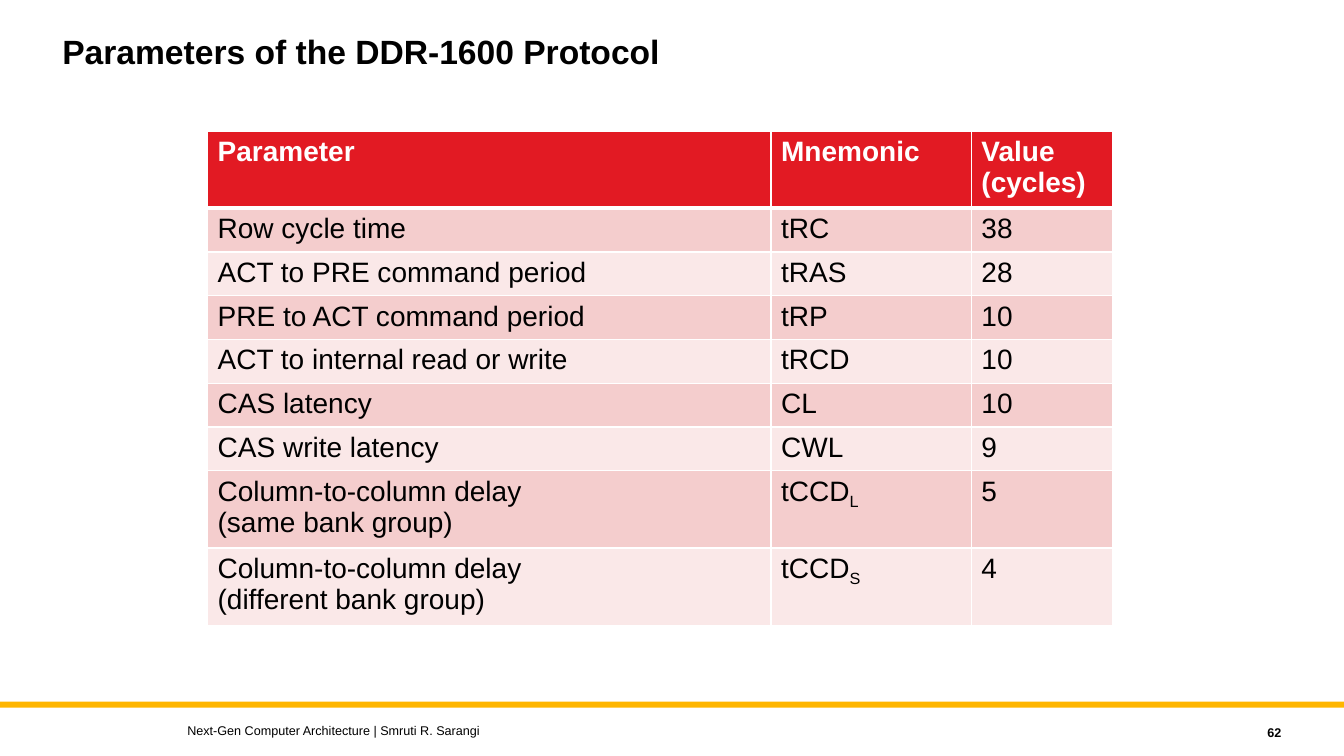
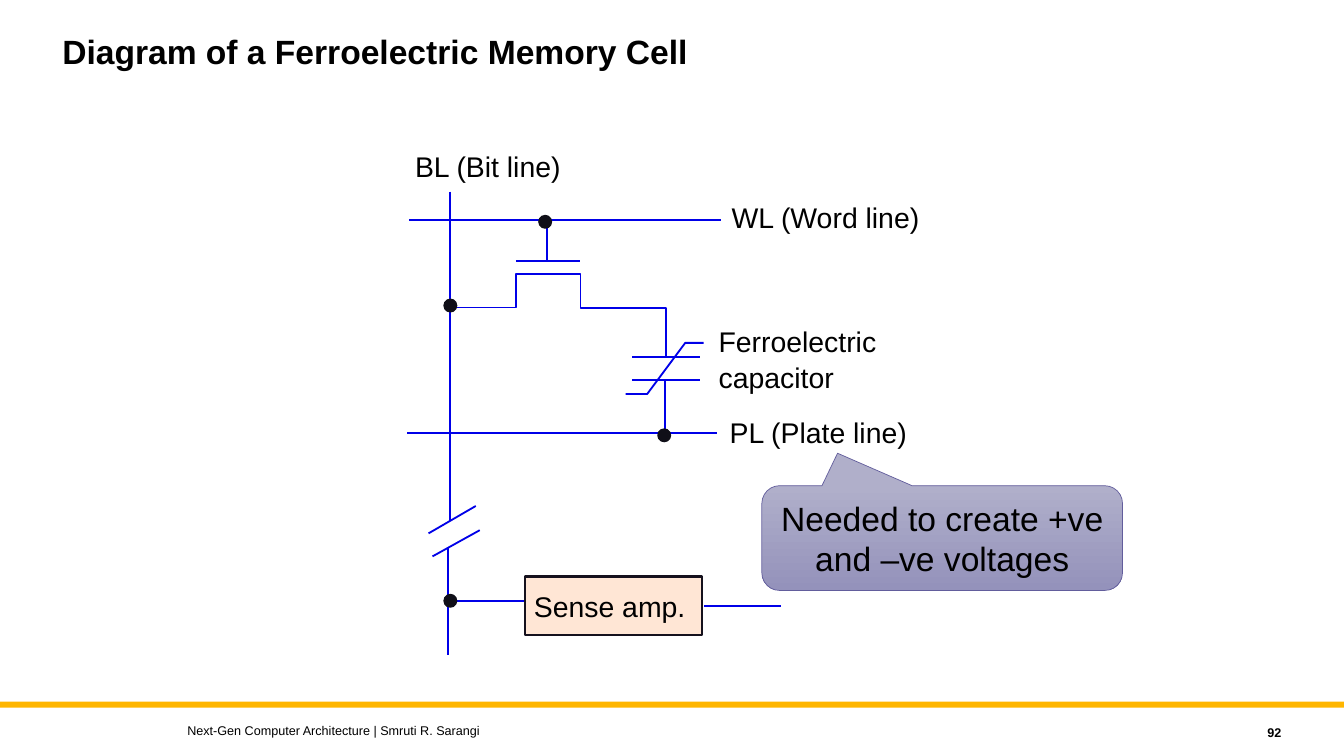
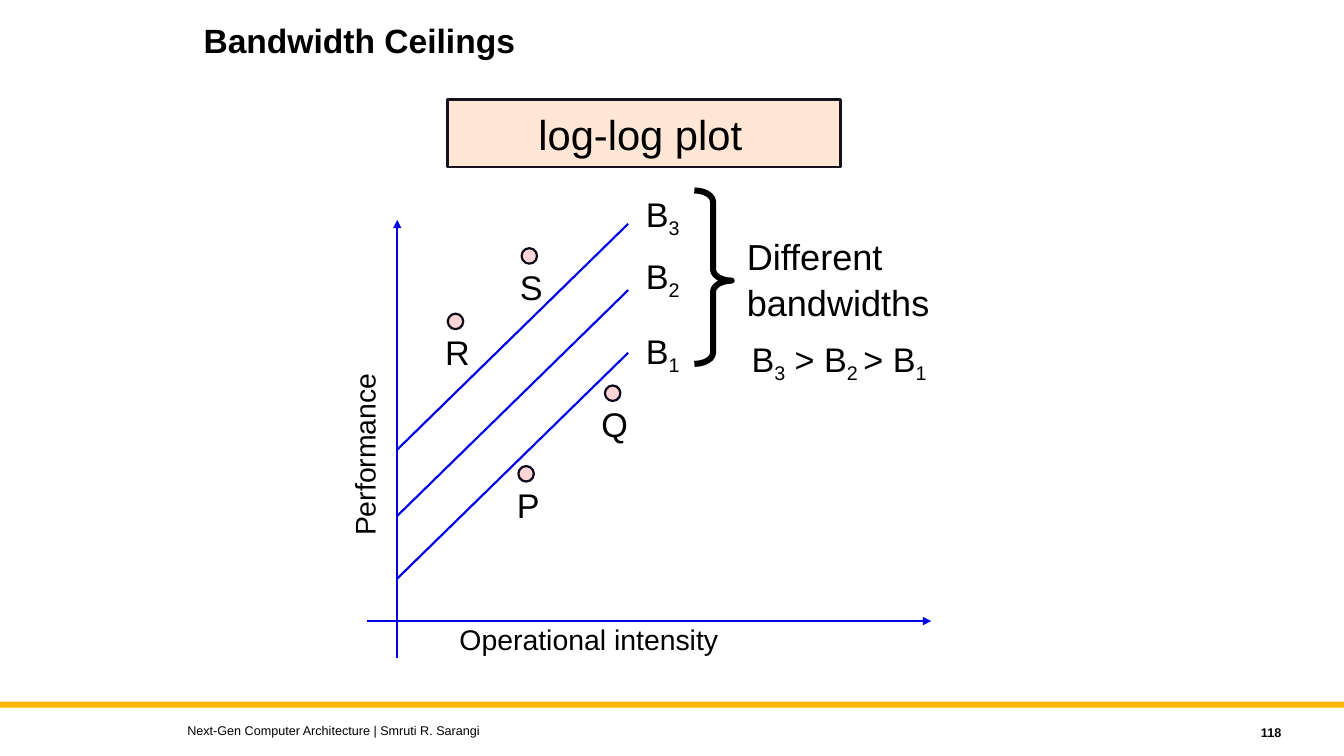
"""Build three computer architecture slides: a DDR table, a memory cell and bandwidth ceilings."""

from dataclasses import dataclass
from typing import NamedTuple, Sequence

from lxml.etree import SubElement
from pptx import Presentation
from pptx.dml.color import RGBColor
from pptx.enum.shapes import MSO_CONNECTOR, MSO_SHAPE
from pptx.enum.text import MSO_ANCHOR, PP_ALIGN
from pptx.oxml.ns import qn
from pptx.shapes.autoshape import Shape
from pptx.slide import Slide
from pptx.table import _Cell
from pptx.text.text import TextFrame
from pptx.util import Cm, Pt


@dataclass(frozen=True)
class Theme:
    """Colours, font and type sizes of the deck."""

    font: str = "Arial"
    ink: str = "000000"
    paper: str = "FFFFFF"
    band: str = "FFB600"
    wire: str = "0000E8"
    node: str = "100F18"
    box: str = "FFE6D5"
    box_edge: str = "15111D"
    marker: str = "FFD5D5"
    marker_edge: str = "09091A"
    header: str = "E21A23"
    stripes: tuple[str, str] = ("F4CDCD", "FAE8E8")
    callout: tuple[str, str] = ("B0AFCA", "9492BB")
    callout_edge: str = "625D9C"
    title_size: float = 24
    footer_size: float = 9
    table_size: float = 20
    label_size: float = 20.3
    symbol_size: float = 24.4
    note_size: float = 25.8
    plot_size: float = 29.8
    wire_width: float = 1.29
    ceiling_width: float = 1.53


THEME = Theme()
WIDTH, HEIGHT = 33.87, 19.05
Pieces = tuple[str, ...]
Point = tuple[float, float]


class Area(NamedTuple):
    """A rectangle in centimetres."""

    left: float
    top: float
    width: float
    height: float


class Label(NamedTuple):
    """Text at a place; every second piece is a subscript."""

    pieces: Pieces
    area: Area
    size: float = THEME.label_size
    rotation: float = 0


class Wire(NamedTuple):
    """A straight line, with an optional arrowhead at its end."""

    start: Point
    end: Point
    width: float = THEME.wire_width
    arrow: bool = False


class Sample(NamedTuple):
    """A named point of the plot."""

    name: str
    centre: Point


class Parameter(NamedTuple):
    """A timing parameter of the memory protocol."""

    name: str
    mnemonic: str
    cycles: str
    subscript: str = ""


PARAMETERS = (
    Parameter("Row cycle time", "tRC", "38"),
    Parameter("ACT to PRE command period", "tRAS", "28"),
    Parameter("PRE to ACT command period", "tRP", "10"),
    Parameter("ACT to internal read or write", "tRCD", "10"),
    Parameter("CAS latency", "CL", "10"),
    Parameter("CAS write latency", "CWL", "9"),
    Parameter("Column-to-column delay\n(same bank group)", "tCCD", "5", "L"),
    Parameter("Column-to-column delay\n(different bank group)", "tCCD", "4", "S"),
)

CELL_WIRES = (
    Wire((10.31, 5.54), (18.16, 5.54)),
    Wire((11.35, 4.83), (11.35, 13.13)),
    Wire((10.26, 10.92), (18.08, 10.92)),
    Wire((15.93, 8.99), (17.63, 8.99)),
    Wire((15.93, 9.58), (17.63, 9.58)),
    Wire((16.76, 9.58), (16.76, 10.95)),
    Wire((13, 6.58), (14.61, 6.58)),
    Wire((13.79, 6.58), (13.79, 5.54)),
    Wire((10.8, 13.44), (11.99, 12.75)),
    Wire((10.9, 14.02), (12.09, 13.36)),
    Wire((11.3, 13.79), (11.3, 16.51)),
    Wire((11.3, 15.14), (13.23, 15.14)),
    Wire((17.75, 15.27), (19.69, 15.27)),
)
TRANSISTOR = ((11.38, 7.75), (13, 7.75), (13, 6.91), (14.63, 6.91),
              (14.63, 7.77), (16.79, 7.77), (16.79, 9.02))
HYSTERESIS = ((15.77, 9.93), (16.31, 9.93), (17.27, 8.64), (17.73, 8.64))
JUNCTIONS = ((13.74, 5.59), (11.35, 7.7), (16.74, 10.97), (11.35, 15.14))
CELL_LABELS = (
    Label(("WL (Word line)",), Area(18.19, 4.93, 5.28, 1.12)),
    Label(("PL (Plate line)",), Area(18.14, 10.34, 5, 1.12)),
    Label(("BL (Bit line)",), Area(10.21, 3.63, 4.22, 1.12)),
    Label(("Ferroelectric",), Area(17.86, 8.03, 4.52, 1.12)),
    Label(("capacitor",), Area(17.86, 8.94, 3.43, 1.12)),
)

AXES = (
    Wire((9.25, 15.65), (23.47, 15.65), 1.75, True),
    Wire((10.01, 16.59), (10.01, 5.54), 1.56, True),
)
CEILING_STARTS = (14.58, 13, 11.33)
CEILING_RUN, CEILING_RISE = 5.82, 5.69
CEILING_LABEL_TOPS = (8.2, 6.32, 4.75)
SAMPLES = (
    Sample("P", (13.26, 11.94)),
    Sample("Q", (15.44, 9.91)),
    Sample("R", (11.48, 8.1)),
    Sample("S", (13.34, 6.45)),
)
PLOT_LABELS = (
    Label(("Operational intensity",), Area(11.33, 15.54, 7.45, 1.12)),
    Label(("Performance",), Area(6.76, 10.77, 4.85, 1.12), rotation=270),
    Label(("Different",), Area(18.57, 5.79, 3.96, 1.35), THEME.note_size),
    Label(("bandwidths",), Area(18.57, 6.93, 5.16, 1.35), THEME.note_size),
    Label(("B", "3", " > B", "2 ", "> B", "1"), Area(18.69, 8.41, 5.11, 1.3), THEME.symbol_size),
)


def rgb(colour: str) -> RGBColor:
    """Turn a hex string into a colour."""
    return RGBColor.from_string(colour)


def lengths(values: Sequence[float]) -> list[Cm]:
    """Turn centimetres into lengths."""
    return [Cm(value) for value in values]


def write(frame: TextFrame, lines: Sequence[Pieces], size: float, colour: str = THEME.ink,
          bold: bool = False, align: PP_ALIGN = PP_ALIGN.LEFT, spacing: float = 1.0) -> None:
    """Write one paragraph a line, with every second piece as a subscript."""
    for index, pieces in enumerate(lines):
        paragraph = frame.add_paragraph() if index else frame.paragraphs[0]
        paragraph.alignment = align
        paragraph.line_spacing = spacing
        for position, piece in enumerate(pieces):
            run = paragraph.add_run()
            run.text = piece
            run.font.name = THEME.font
            run.font.size = Pt(size)
            run.font.bold = bold
            run.font.color.rgb = rgb(colour)
            if position % 2:
                run._r.get_or_add_rPr().set("baseline", "-23000")


def add_text_frame(slide: Slide, area: Area, rotation: float = 0,
                   anchor: MSO_ANCHOR = MSO_ANCHOR.TOP) -> TextFrame:
    """Add a wrapping text box and return its frame."""
    box = slide.shapes.add_textbox(*lengths(area))
    box.rotation = rotation
    frame = box.text_frame
    frame.word_wrap = True
    frame.vertical_anchor = anchor
    return frame


def add_label(slide: Slide, label: Label, align: PP_ALIGN = PP_ALIGN.LEFT) -> None:
    """Add a diagram label."""
    frame = add_text_frame(slide, label.area, label.rotation)
    if align == PP_ALIGN.LEFT:
        frame.margin_right = 0
    write(frame, [label.pieces], label.size, align=align)


def add_block(slide: Slide, kind: MSO_SHAPE, area: Area, fill: str | None = None,
              edge: str | None = None, width: float = 1) -> Shape:
    """Add a flat preset shape."""
    block = slide.shapes.add_shape(kind, *lengths(area))
    block.shadow.inherit = False
    if fill:
        block.fill.solid()
        block.fill.fore_color.rgb = rgb(fill)
    else:
        block.fill.background()
    if edge:
        block.line.color.rgb = rgb(edge)
        block.line.width = Pt(width)
    else:
        block.line.fill.background()
    return block


def add_caption_box(slide: Slide, area: Area, text: str, size: float, width: float) -> None:
    """Add an outlined box with a caption."""
    box = add_block(slide, MSO_SHAPE.RECTANGLE, area, THEME.box, THEME.box_edge, width)
    frame = box.text_frame
    frame.margin_left, frame.margin_right = 0, Cm(0.2)
    frame.vertical_anchor = MSO_ANCHOR.MIDDLE
    write(frame, [(text,)], size, align=PP_ALIGN.CENTER)


def add_dot(slide: Slide, centre: Point, diameter: float, fill: str, edge: str,
            width: float) -> None:
    """Add a circle around its centre."""
    x, y = centre
    area = Area(x - diameter / 2, y - diameter / 2, diameter, diameter)
    add_block(slide, MSO_SHAPE.OVAL, area, fill, edge, width)


def add_wire(slide: Slide, wire: Wire) -> None:
    """Add a straight line."""
    line = slide.shapes.add_connector(MSO_CONNECTOR.STRAIGHT, *lengths(wire.start + wire.end))
    line.line.color.rgb = rgb(THEME.wire)
    line.line.width = Pt(wire.width)
    if wire.arrow:
        SubElement(line.get_or_add_ln(), qn("a:tailEnd"), type="triangle")
    SubElement(line._element.spPr, qn("a:effectLst"))


def add_bent_wire(slide: Slide, points: Sequence[Point]) -> None:
    """Add an open line through several points."""
    corners = [tuple(lengths(point)) for point in points]
    builder = slide.shapes.build_freeform(*corners[0])
    builder.add_line_segments(corners[1:], close=False)
    outline = builder.convert_to_shape()
    outline.shadow.inherit = False
    outline.fill.background()
    outline.line.color.rgb = rgb(THEME.wire)
    outline.line.width = Pt(THEME.wire_width)


def add_frame(slide: Slide, title: str, number: int, title_at: Point = (1.32, 0.76)) -> None:
    """Add the title, band and footer that all slides share."""
    add_block(slide, MSO_SHAPE.RECTANGLE, Area(0, 17.68, WIDTH, 0.15), THEME.band)
    heading = add_text_frame(slide, Area(*title_at, 25.4, 2.29))
    write(heading, [(title,)], THEME.title_size, bold=True, spacing=0.9)
    footer = add_text_frame(slide, Area(4.47, 18.08, 20.32, 0.64), anchor=MSO_ANCHOR.MIDDLE)
    write(footer, [("Next-Gen Computer Architecture | Smruti R. Sarangi",)], THEME.footer_size)
    page = add_text_frame(slide, Area(28.98, 18.14, 3.56, 0.64), anchor=MSO_ANCHOR.MIDDLE)
    write(page, [(str(number),)], THEME.footer_size, bold=True, align=PP_ALIGN.RIGHT)


def style_cell(cell: _Cell, row: int) -> None:
    """Set the borders and the fill of a cell."""
    properties = cell._tc.get_or_add_tcPr()
    thick = {0: "lnB", 1: "lnT"}.get(row)
    for side in ("lnL", "lnR", "lnT", "lnB"):
        border = SubElement(properties, qn(f"a:{side}"), w=str(Pt(3 if side == thick else 1)))
        SubElement(SubElement(border, qn("a:solidFill")), qn("a:srgbClr"), val=THEME.paper)
    cell.fill.solid()
    cell.fill.fore_color.rgb = rgb(THEME.stripes[(row - 1) % 2] if row else THEME.header)


def build_parameters(slide: Slide) -> None:
    """Build the table of protocol parameters."""
    add_frame(slide, "Parameters of the DDR-1600 Protocol", 62)
    columns = (14.2, 5.05, 3.56)
    rows = (Parameter("Parameter", "Mnemonic", "Value\n(cycles)"), *PARAMETERS)
    heights = [1.83 if "\n" in row.name + row.cycles else 1.04 for row in rows]
    area = Area(5.23, 3.3, sum(columns), sum(heights))
    table = slide.shapes.add_table(len(rows), len(columns), *lengths(area)).table
    for column, width in zip(table.columns, columns):
        column.width = Cm(width)
    for index, (row, height) in enumerate(zip(rows, heights)):
        table.rows[index].height = Cm(height)
        mnemonic = (row.mnemonic, row.subscript) if row.subscript else (row.mnemonic,)
        contents = ([(line,) for line in row.name.split("\n")], [mnemonic],
                    [(line,) for line in row.cycles.split("\n")])
        for cell, lines in zip(table.rows[index].cells, contents):
            style_cell(cell, index)
            write(cell.text_frame, lines, THEME.table_size,
                  THEME.ink if index else THEME.paper, bold=index == 0)


def build_memory_cell(slide: Slide) -> None:
    """Build the circuit of a ferroelectric memory cell."""
    add_frame(slide, "Diagram of a Ferroelectric Memory Cell", 92)
    for wire in CELL_WIRES:
        add_wire(slide, wire)
    for points in (TRANSISTOR, HYSTERESIS):
        add_bent_wire(slide, points)
    for centre in JUNCTIONS:
        add_dot(slide, centre, 0.32, THEME.node, THEME.node, 0.89)
    add_caption_box(slide, Area(13.23, 14.53, 4.47, 1.47), "Sense amp.", THEME.label_size, 1.69)
    for label in CELL_LABELS:
        add_label(slide, label)
    callout = add_block(slide, MSO_SHAPE.ROUNDED_RECTANGULAR_CALLOUT,
                        Area(19.2, 12.24, 9.09, 2.64), edge=THEME.callout_edge, width=0.5)
    for index, adjustment in enumerate((-0.29, -0.81, 0.17)):
        callout.adjustments[index] = adjustment
    callout.fill.gradient()
    callout.fill.gradient_angle = 270
    for stop, colour in zip(callout.fill.gradient_stops, THEME.callout):
        stop.color.rgb = rgb(colour)
    callout.text_frame.word_wrap = True
    callout.text_frame.vertical_anchor = MSO_ANCHOR.MIDDLE
    write(callout.text_frame, [("Needed to create +ve and –ve voltages",)], THEME.title_size,
          align=PP_ALIGN.CENTER)


def build_ceilings(slide: Slide) -> None:
    """Build the plot of bandwidth ceilings."""
    add_frame(slide, "Bandwidth Ceilings", 118, (4.88, 0.48))
    add_caption_box(slide, Area(11.28, 2.51, 9.91, 1.7), "log-log plot", THEME.plot_size, 2.03)
    for axis in AXES:
        add_wire(slide, axis)
    left = AXES[1].start[0]
    for rank, (start, top) in enumerate(zip(CEILING_STARTS, CEILING_LABEL_TOPS), 1):
        end = (left + CEILING_RUN, start - CEILING_RISE)
        add_wire(slide, Wire((left, start), end, THEME.ceiling_width))
        add_label(slide, Label(("B", str(rank)), Area(16.03, top, 1.42, 1.3), THEME.symbol_size))
    brace = add_block(slide, MSO_SHAPE.RIGHT_BRACE, Area(17.5, 4.8, 0.94, 4.37),
                      edge=THEME.ink, width=4.3)
    brace.adjustments[0], brace.adjustments[1] = 0.3, 0.52
    for name, (x, y) in SAMPLES:
        add_dot(slide, (x, y), 0.39, THEME.marker, THEME.marker_edge, 1.56)
        area = Area(x - 0.55, y + 0.13, 1.2, 1.3)
        add_label(slide, Label((name,), area, THEME.symbol_size), PP_ALIGN.CENTER)
    for label in PLOT_LABELS:
        add_label(slide, label)


def main() -> None:
    """Build and save the deck."""
    deck = Presentation()
    deck.slide_width, deck.slide_height = lengths((WIDTH, HEIGHT))
    for build in (build_parameters, build_memory_cell, build_ceilings):
        build(deck.slides.add_slide(deck.slide_layouts[6]))
    deck.save("out.pptx")


if __name__ == "__main__":
    main()
